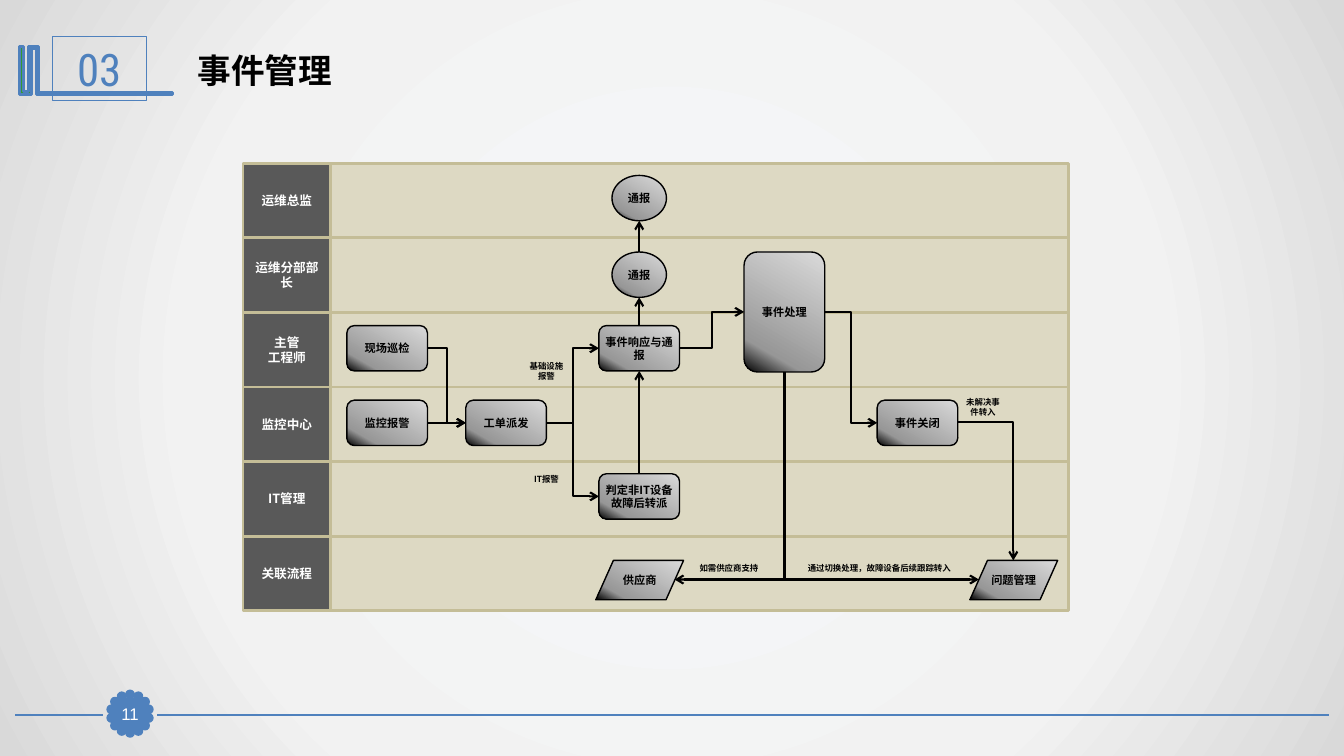
"""Builds the incident management swimlane slide."""
from math import cos, pi, sin

from lxml.etree import SubElement
from pptx import Presentation
from pptx.dml.color import RGBColor
from pptx.enum.shapes import MSO_CONNECTOR as LINK, MSO_SHAPE as SHAPE
from pptx.enum.text import MSO_ANCHOR as ANCHOR, PP_ALIGN as ALIGN
from pptx.oxml.ns import qn
from pptx.util import Inches, Pt

COLORS = {
    "blue": "4F81BD", "green": "339933", "black": "000000", "white": "FFFFFF",
    "lane": "DDD9C3", "lane_line": "C4BD97", "lane_label": "595959",
}
CJK = "Noto Sans CJK SC"
BACKGROUND_STOPS = [(0, "F6F9FC"), (63, "F2F2F2"), (100, "D9D9D9")]
NODE_STOPS = [(0, "DADADA"), (80, "979797"), (100, "000000")]

TITLE = "事件管理"
SECTION = "03"
PAGE = "11"
LANES = ["运维总监", "运维分部部长", "主管\n工程师", "监控中心", "IT管理", "关联流程"]
LANE_TOP, LANE_HEIGHT = 1.62, 0.74

PROCESS, DATA = SHAPE.FLOWCHART_ALTERNATE_PROCESS, SHAPE.FLOWCHART_DATA
STEP, CIRCLE, SLANTED = (0.8, 0.45), (0.54, 0.45), (0.87, 0.39)
NODES = {
    "inspection": ("现场巡检", PROCESS, 3.44, 3.23, STEP),
    "alarm": ("监控报警", PROCESS, 3.44, 3.97, STEP),
    "dispatch": ("工单派发", PROCESS, 4.62, 3.97, STEP),
    "response": ("事件响应与通报", PROCESS, 5.94, 3.23, STEP),
    "transfer": ("判定非IT设备故障后转派", PROCESS, 5.94, 4.7, STEP),
    "branch_notice": ("通报", SHAPE.OVAL, 6.07, 2.5, CIRCLE),
    "director_notice": ("通报", SHAPE.OVAL, 6.07, 1.74, CIRCLE),
    "handling": ("事件处理", PROCESS, 7.38, 2.5, (0.8, 1.19)),
    "closing": ("事件关闭", PROCESS, 8.7, 3.97, STEP),
    "supplier": ("供应商", DATA, 5.91, 5.56, SLANTED),
    "problem": ("问题管理", DATA, 9.62, 5.56, SLANTED),
}
TOP, LEFT, BOTTOM, RIGHT = range(4)
JOINED_LINKS = [
    ("inspection", RIGHT, "dispatch", LEFT, LINK.ELBOW),
    ("alarm", RIGHT, "dispatch", LEFT, LINK.STRAIGHT),
    ("dispatch", RIGHT, "response", LEFT, LINK.ELBOW),
    ("dispatch", RIGHT, "transfer", LEFT, LINK.ELBOW),
    ("response", RIGHT, "handling", LEFT, LINK.ELBOW),
    ("handling", RIGHT, "closing", LEFT, LINK.ELBOW),
    ("transfer", TOP, "response", BOTTOM, LINK.STRAIGHT),
]
NOTICE_LINKS = [(6.34, 3.23, 6.34, 2.95), (6.34, 2.5, 6.34, 2.19)]
CORNER_LINKS = [
    ((9.5, 4.19, 10.05, 5.56), "tailEnd"),
    ((6.69, 5.75, 7.78, 3.69), "headEnd"),
    ((9.71, 5.75, 7.78, 3.69), "headEnd"),
]
NOTES = [
    ("如需供应商支持", 6.81, 5.54, 0.84, 0.2),
    ("通过切换处理，故障设备后续跟踪转入", 7.9, 5.54, 1.64, 0.2),
    ("未解决事件转入", 9.45, 3.89, 0.6, 0.3),
    ("IT报警", 5.12, 4.65, 0.6, 0.2),
    ("基础设施报警", 5.12, 3.53, 0.6, 0.3),
]
EMBLEM = [
    (37, 46), (38, 46), (38, 92), (171, 92), (171, 94), (36, 94), (36, 48), (31, 48),
    (31, 94), (19, 94), (19, 46), (23, 46), (23, 91), (28, 91), (28, 46),
]
RULES = [(1.56, 7.09, 13.18, 7.09), (0.15, 7.09, 1.02, 7.09)]
PETALS, PETAL_SIZE, BADGE_RADIUS, BADGE_CENTER = 14, 0.07, 0.19, (1.29, 7.08)


def color(name):
    return RGBColor.from_string(COLORS[name])


def set_gradient(fill, element, stops, shade, shade_attributes):
    fill.gradient()
    gradient = element.find(".//" + qn("a:gradFill"))
    for child in list(gradient):
        gradient.remove(child)
    stop_list = SubElement(gradient, qn("a:gsLst"))
    for position, value in stops:
        stop = SubElement(stop_list, qn("a:gs"), pos=str(position * 1000))
        SubElement(stop, qn("a:srgbClr"), val=value)
    return SubElement(gradient, qn(shade), **shade_attributes)


def write(shape, text, size, ink, font=CJK, bold=True, align=ALIGN.CENTER,
          anchor=ANCHOR.MIDDLE, inset=None):
    frame = shape.text_frame
    frame.word_wrap = True
    frame.vertical_anchor = anchor
    if inset is not None:
        frame.margin_left = frame.margin_right = Inches(inset)
        frame.margin_top = frame.margin_bottom = Inches(inset)
    for index, line in enumerate(text.split("\n")):
        paragraph = frame.add_paragraph() if index else frame.paragraphs[0]
        paragraph.alignment = align
        run = paragraph.add_run()
        run.text = line
        run.font.size, run.font.bold, run.font.name = Pt(size), bold, font
        run.font.color.rgb = color(ink)
        SubElement(run.font._element, qn("a:ea"), typeface=CJK)


def style(shape, fill, line, width):
    shape.shadow.inherit = False
    if fill:
        shape.fill.solid()
        shape.fill.fore_color.rgb = color(fill)
    else:
        shape.fill.background()
    shape.line.color.rgb = color(line)
    shape.line.width = Pt(width)


def add_box(slide, kind, box, fill, line, width):
    shape = slide.shapes.add_shape(kind, *map(Inches, box))
    style(shape, fill, line, width)
    return shape


def add_link(slide, kind, points, ink="black", width=1.5, arrow="tailEnd"):
    connector = slide.shapes.add_connector(kind, *map(Inches, points))
    connector.line.color.rgb = color(ink)
    connector.line.width = Pt(width)
    if arrow:
        SubElement(connector.line._get_or_add_ln(), qn("a:" + arrow), type="arrow")
    SubElement(connector.element.spPr, qn("a:effectLst"))
    return connector


def add_header_and_footer(slide):
    for rule in RULES:
        add_link(slide, LINK.STRAIGHT, rule, "blue", 1.25, None)
    center_x, center_y = BADGE_CENTER
    for index in range(PETALS):
        angle = 2 * pi * index / PETALS
        left = center_x + BADGE_RADIUS * sin(angle) - PETAL_SIZE / 2
        top = center_y - BADGE_RADIUS * cos(angle) - PETAL_SIZE / 2
        add_box(slide, SHAPE.OVAL, (left, top, PETAL_SIZE, PETAL_SIZE), "blue", "blue", 2)
    builder = slide.shapes.build_freeform(*EMBLEM[0], scale=Inches(0.01))
    builder.add_line_segments(EMBLEM[1:], close=True)
    style(builder.convert_to_shape(), "green", "blue", 2)
    section = add_box(slide, SHAPE.RECTANGLE, (0.52, 0.36, 0.93, 0.64), None, "blue", 0.75)
    write(section, SECTION, 32, "blue", "Roboto Condensed", False)
    page = add_box(slide, SHAPE.RECTANGLE, (1.13, 6.93, 0.32, 0.31), "blue", "blue", 0.75)
    write(page, PAGE, 12, "white", "Arial", False, inset=0)
    title = slide.shapes.title
    title.left, title.top, title.width, title.height = map(Inches, (1.86, 0.44, 9.69, 0.5))
    write(title, TITLE, 24, "black", "Arial", align=ALIGN.LEFT)


def add_flow(slide):
    for index, name in enumerate(LANES):
        top = LANE_TOP + index * LANE_HEIGHT
        add_box(slide, SHAPE.RECTANGLE, (2.46, top, 8.14, LANE_HEIGHT), "lane", "lane_line", 2)
        label = add_box(slide, SHAPE.RECTANGLE, (2.41, top, 0.87, LANE_HEIGHT),
                        "lane_label", "lane_line", 2)
        write(label, name, 9, "white")
    nodes = {}
    for key, (text, kind, left, top, size) in NODES.items():
        node = add_box(slide, kind, (left, top, *size), None, "black", 1)
        set_gradient(node.fill, node.element, NODE_STOPS, "a:lin",
                     {"ang": str(120 * 60000), "scaled": "0"})
        write(node, text, 8, "black", inset=0)
        nodes[key] = node
    for start, start_side, end, end_side, kind in JOINED_LINKS:
        connector = add_link(slide, kind, (0, 0, 1, 1))
        connector.begin_connect(nodes[start], start_side)
        connector.end_connect(nodes[end], end_side)
    for points in NOTICE_LINKS:
        add_link(slide, LINK.STRAIGHT, points)
    for points, arrow in CORNER_LINKS:
        connector = add_link(slide, LINK.ELBOW, points, arrow=arrow)
        connector.element.spPr.find(qn("a:prstGeom")).set("prst", "bentConnector2")
    for text, *box in NOTES:
        note = slide.shapes.add_textbox(*map(Inches, box))
        write(note, text, 6, "black", anchor=ANCHOR.TOP)


def main():
    presentation = Presentation()
    presentation.slide_width, presentation.slide_height = Inches(13.33), Inches(7.5)
    slide = presentation.slides.add_slide(presentation.slide_layouts[5])
    shade = set_gradient(slide.background.fill, slide.element, BACKGROUND_STOPS,
                         "a:path", {"path": "circle"})
    SubElement(shade, qn("a:fillToRect"), l="50000", t="50000", r="50000", b="50000")
    add_header_and_footer(slide)
    add_flow(slide)
    presentation.save("out.pptx")


if __name__ == "__main__":
    main()
